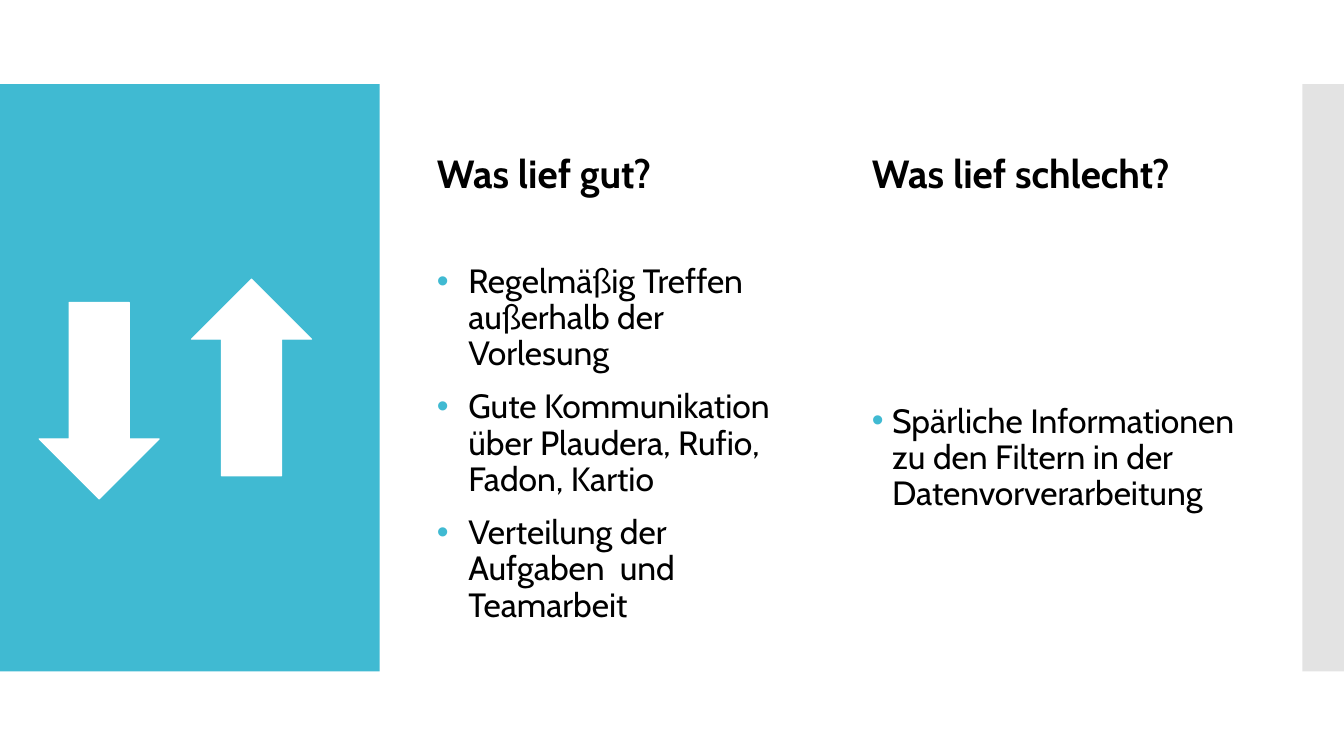
from dataclasses import dataclass

from lxml import etree
from pptx import Presentation
from pptx.dml.color import RGBColor
from pptx.enum import shapes, text
from pptx.oxml import ns
from pptx.util import Pt


@dataclass(frozen=True)
class Theme:
    font: str = "Cabin"
    ink: str = "000000"
    paper: str = "FFFFFF"
    accent: str = "40BAD2"
    edge: str = "C8C8C8"
    heading_size: int = 28
    list_size: int = 24
    line_spacing: float = 0.9
    item_gap: int = 12


class RetroSlide:
    def __init__(self, page, theme):
        self.page = page
        self.theme = theme

    def shape(self, kind, left, top, width, height, color, opacity=None):
        shape = self.page.shapes.add_shape(
            kind, Pt(left), Pt(top), Pt(width), Pt(height))
        shape.shadow.inherit = False
        shape.fill.solid()
        shape.fill.fore_color.rgb = RGBColor.from_string(color)
        shape.line.fill.background()
        if opacity is not None:
            fill_color = shape.fill._xPr.find(".//" + ns.qn("a:srgbClr"))
            etree.SubElement(fill_color, ns.qn("a:alpha"), val=str(opacity * 1000))
        return shape

    def arrow(self, left, top, rotation=0):
        arrow = self.shape(shapes.MSO_SHAPE.DOWN_ARROW, left, top, 85.7, 140.4,
                           self.theme.paper)
        arrow.rotation = rotation
        arrow.line.color.rgb = RGBColor.from_string(self.theme.paper)
        arrow.line.width = Pt(0.85)

    def body(self, index, lines, left, top, height, anchor, size, bold=False, gap=0):
        """Move and fill a body placeholder, and return its paragraphs."""
        box = self.page.placeholders[index]
        box.left, box.top = Pt(left), Pt(top)
        box.width, box.height = Pt(273.6), Pt(height)
        frame = box.text_frame
        frame.text = "\n".join(lines)
        frame.word_wrap = True
        frame.auto_size = text.MSO_AUTO_SIZE.NONE
        frame.vertical_anchor = anchor
        for para in frame.paragraphs:
            para.line_spacing = self.theme.line_spacing
            para.space_before = Pt(gap)
            for span in para.runs:
                span.font.name = self.theme.font
                span.font.size = Pt(size)
                span.font.bold = bold
                span.font.color.rgb = RGBColor.from_string(self.theme.ink)
        return frame.paragraphs

    def heading(self, index, line, left):
        self.body(index, [line], left, 80.6, 63.7, text.MSO_ANCHOR.BOTTOM,
                  self.theme.heading_size, bold=True)

    def bullets(self, index, items, left, top, indent):
        paragraphs = self.body(index, items, left, top, 316.8, text.MSO_ANCHOR.MIDDLE,
                               self.theme.list_size, gap=self.theme.item_gap)
        for para in paragraphs:
            props = para._p.get_or_add_pPr()
            props.set("marL", str(Pt(indent)))
            props.set("indent", str(-Pt(indent)))
            color = etree.SubElement(props, ns.qn("a:buClr"))
            etree.SubElement(color, ns.qn("a:srgbClr"), val=self.theme.accent)
            etree.SubElement(props, ns.qn("a:buFont"), typeface="Arial")
            etree.SubElement(props, ns.qn("a:buChar"), char="•")


def main():
    deck = Presentation()
    deck.slide_width, deck.slide_height = Pt(960), Pt(540)
    page = deck.slides.add_slide(deck.slide_layouts.get_by_name("Comparison"))
    title = page.shapes.title
    title.element.getparent().remove(title.element)

    theme = Theme()
    slide = RetroSlide(page, theme)
    rectangle = shapes.MSO_SHAPE.RECTANGLE
    slide.shape(rectangle, 0, 60, 271.2, 419.5, theme.accent)
    slide.shape(rectangle, 930.4, 60, 29.6, 419.5, theme.edge, opacity=50)
    slide.arrow(28, 216)
    slide.arrow(136.8, 199.4, rotation=180)

    good_left, bad_left = 304.8, 615.6
    slide.heading(1, "Was lief gut?", good_left)
    slide.bullets(2, [
        "Regelmäßig Treffen außerhalb der Vorlesung",
        "Gute Kommunikation über Plaudera, Rufio, Fadon, Kartio",
        "Verteilung der Aufgaben  und Teamarbeit",
    ], good_left, 159, indent=22.5)
    slide.heading(3, "Was lief schlecht?", bad_left)
    slide.bullets(4, [
        "Spärliche Informationen zu den Filtern in der Datenvorverarbeitung",
    ], bad_left, 169.2, indent=14.4)

    deck.save("out.pptx")


if __name__ == "__main__":
    main()
